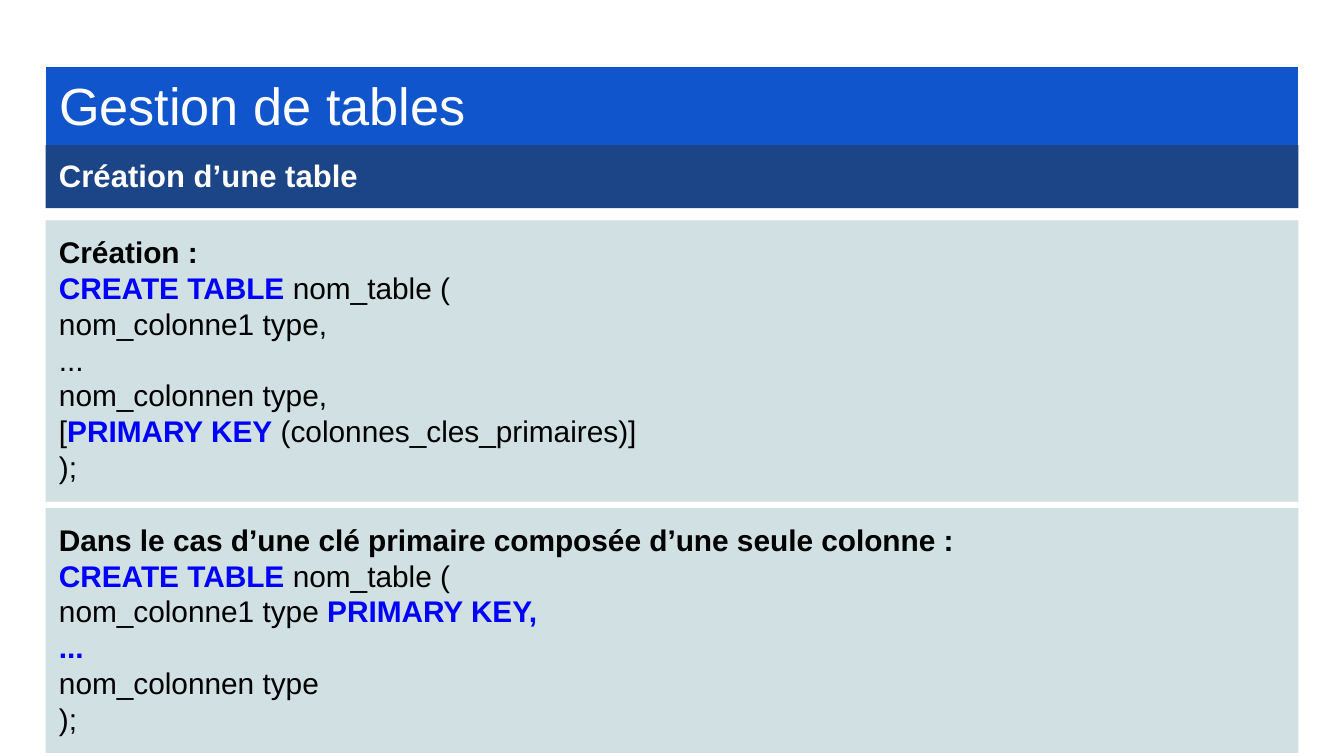
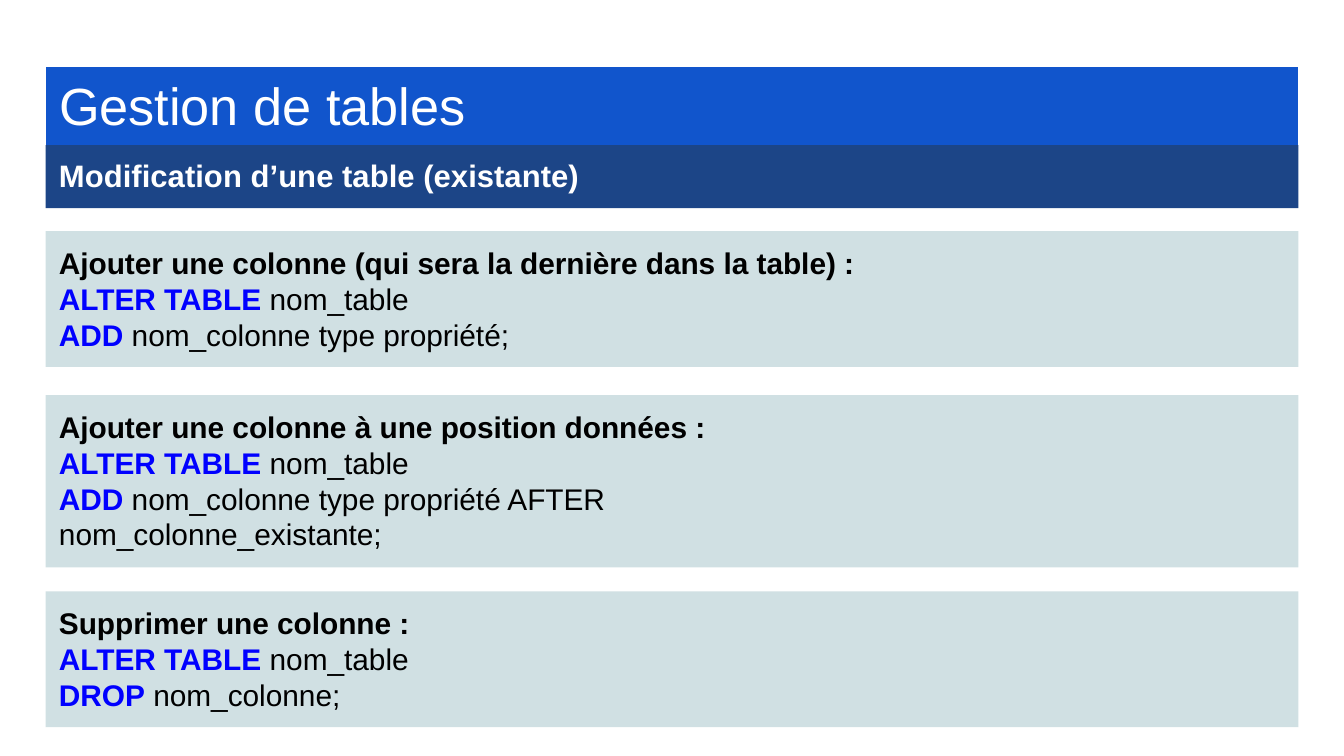
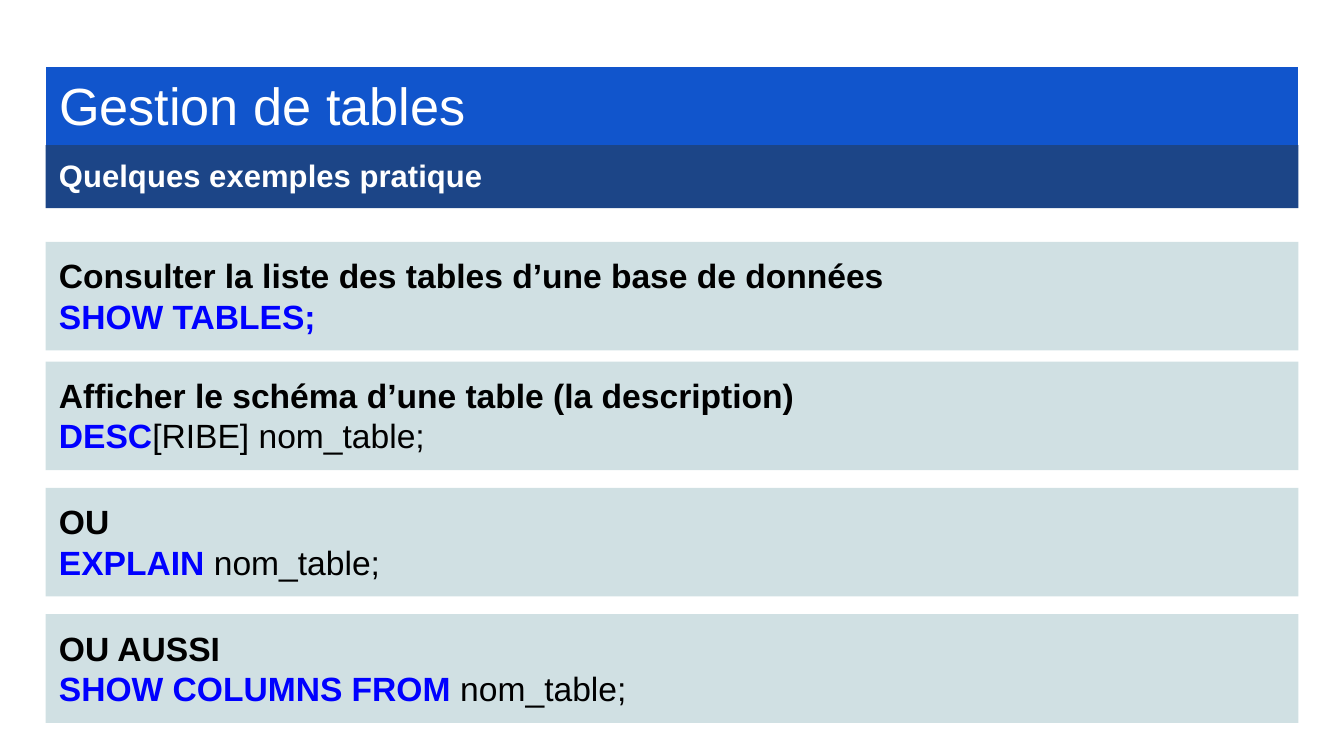
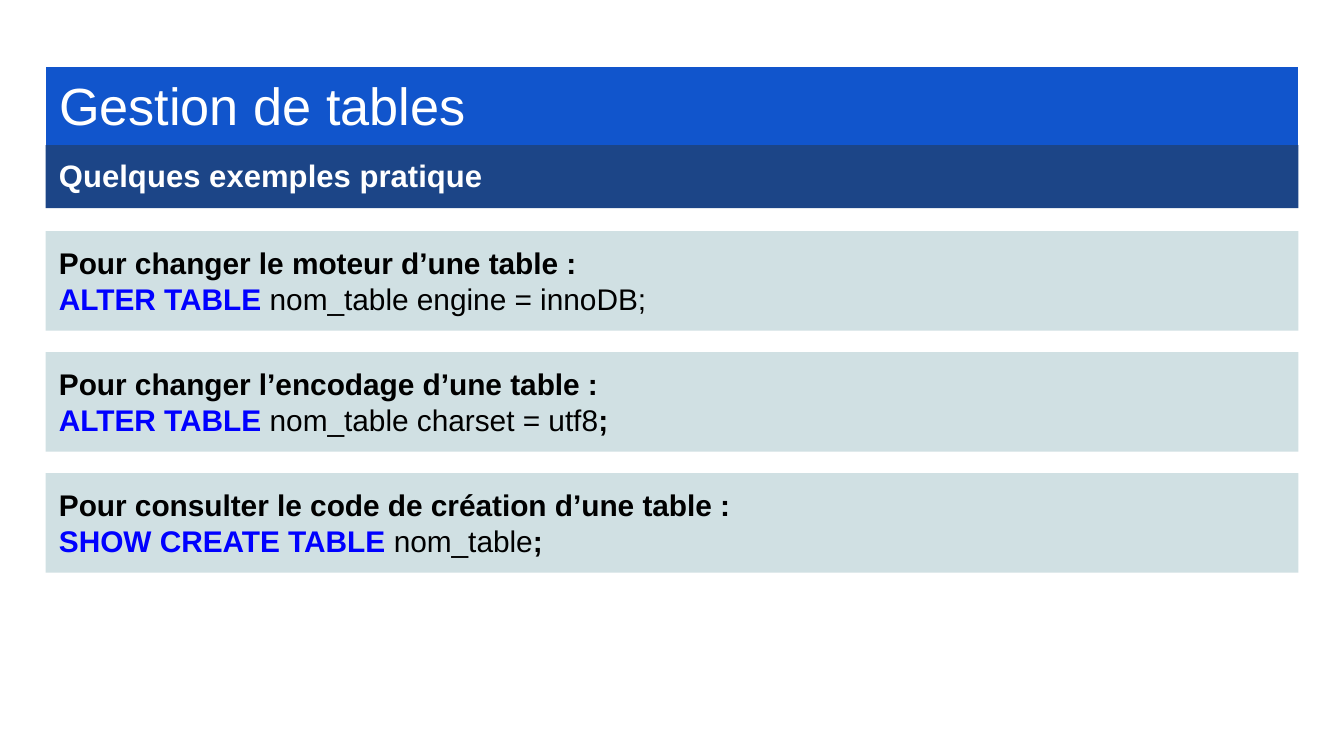
from pptx import Presentation
from pptx.dml.color import RGBColor as RGB
from pptx.enum.shapes import MSO_SHAPE as Shape
from pptx.enum.text import MSO_ANCHOR as Anchor, MSO_AUTO_SIZE as Fit, PP_ALIGN as Align
from pptx.util import Inches, Pt

WHITE = RGB(0xFF, 0xFF, 0xFF)
BLACK = RGB(0x00, 0x00, 0x00)
BLUE = RGB(0x11, 0x55, 0xCC)
NAVY = RGB(0x1C, 0x45, 0x87)
PALE = RGB(0xD0, 0xE0, 0xE3)
CODE = RGB(0x00, 0x00, 0xFF)
FONT = "Arial"
LEFT, WIDE, PAD = 0.34, 9.32, 0.1

HEAD = (BLACK, True)
WORD = (CODE, True)
TEXT = (BLACK, False)
MAKE = [("CREATE TABLE", WORD), (" nom_table (", TEXT)]
ALTER = [("ALTER TABLE", WORD), (" nom_table", TEXT)]
LAST = [(");", TEXT)]


def set_box(shape, box, color, anchor):
    """Place and fill a shape, and return its text frame."""
    shape.left, shape.top, shape.width, shape.height = map(Inches, box)
    shape.fill.solid()
    shape.fill.fore_color.rgb = color
    frame = shape.text_frame
    frame.word_wrap = True
    frame.auto_size = Fit.NONE
    frame.vertical_anchor = anchor
    frame.margin_left = frame.margin_right = Inches(PAD)
    frame.margin_top = frame.margin_bottom = Inches(PAD)
    return frame


def add_rect(slide, box, color, anchor):
    """Add a plain filled rectangle and return its text frame."""
    shape = slide.shapes.add_shape(Shape.RECTANGLE, *map(Inches, box))
    shape.shadow.inherit = False
    shape.line.fill.background()
    return set_box(shape, box, color, anchor)


def set_line(para, runs, size, space):
    """Write the styled runs of one paragraph."""
    para.alignment = Align.LEFT
    para.line_spacing = space
    para.space_before = Pt(0)
    for text, (color, bold) in runs:
        run = para.add_run()
        run.text = text
        font = run.font
        font.name, font.size, font.bold = FONT, Pt(size), bold
        font.color.rgb = color


def add_title(slide, box, text):
    """Turn the title placeholder into the blue band."""
    shape = slide.shapes.title
    frame = set_box(shape, box, BLUE, Anchor.MIDDLE)
    shape.line.color.rgb = WHITE
    shape.line.width = Pt(0.75)
    set_line(frame.paragraphs[0], [(text, (WHITE, False))], 28, 0.9)


def add_band(slide, box, text):
    """Add the dark subtitle band."""
    frame = add_rect(slide, box, NAVY, Anchor.MIDDLE)
    set_line(frame.paragraphs[0], [(text, (WHITE, True))], 16.65, 0.95)


def add_panel(slide, left, top, width, size, head, lines):
    """Add a pale panel, as tall as its heading and code lines need."""
    rows = [[(head, HEAD)], *lines]
    high = 2 * PAD + len(rows) * size * 0.0169
    frame = add_rect(slide, (left, top, width, high), PALE, Anchor.TOP)
    for num, runs in enumerate(rows):
        para = frame.add_paragraph() if num else frame.paragraphs[0]
        set_line(para, runs, size, Pt(size * 1.2))


def add_page(deck, name, size, tops, panels):
    """Add one slide: title, subtitle and stacked panels."""
    slide = deck.slides.add_slide(deck.slide_layouts[5])
    add_title(slide, (LEFT, 0.49, WIDE, 0.63), "Gestion de tables")
    add_band(slide, (LEFT, 1.08, WIDE, 0.47), name)
    for top, (head, lines) in zip(tops, panels):
        add_panel(slide, LEFT, top, WIDE, size, head, lines)


PAGES = [
    ("Création d’une table", 16, (1.64, 3.78), [
        ("Création :", [
            MAKE,
            [("nom_colonne1 type,", TEXT)],
            [("...", TEXT)],
            [("nom_colonnen type,", TEXT)],
            [("[", TEXT), ("PRIMARY KEY", WORD), (" (colonnes_cles_primaires)]", TEXT)],
            LAST]),
        ("Dans le cas d’une clé primaire composée d’une seule colonne :", [
            MAKE,
            [("nom_colonne1 type", TEXT), (" PRIMARY KEY,", WORD)],
            [("...", WORD)],
            [("nom_colonnen type", TEXT)],
            LAST]),
    ]),
    ("Modification d’une table (existante)", 16, (1.72, 2.94, 4.4), [
        ("Ajouter une colonne (qui sera la dernière dans la table) :", [
            ALTER,
            [("ADD", WORD), (" nom_colonne type propriété;", TEXT)]]),
        ("Ajouter une colonne à une position données :", [
            ALTER,
            [("ADD", WORD), (" nom_colonne type propriété AFTER", TEXT)],
            [("nom_colonne_existante;", TEXT)]]),
        ("Supprimer une colonne :", [
            ALTER,
            [("DROP", WORD), (" nom_colonne;", TEXT)]]),
    ]),
    ("Quelques exemples pratique", 18, (1.8, 2.69, 3.63, 4.57), [
        ("Consulter la liste des tables d’une base de données", [
            [("SHOW TABLES;", WORD)]]),
        ("Afficher le schéma d’une table (la description)", [
            [("DESC", WORD), ("[RIBE] nom_table;", TEXT)]]),
        ("OU", [
            [("EXPLAIN", WORD), (" nom_table;", TEXT)]]),
        ("OU AUSSI", [
            [("SHOW COLUMNS FROM", WORD), (" nom_table;", TEXT)]]),
    ]),
    ("Quelques exemples pratique", 16, [1.72 + 0.9 * num for num in range(3)], [
        ("Pour changer le moteur d’une table :", [
            [*ALTER, (" engine = innoDB;", TEXT)]]),
        ("Pour changer l’encodage d’une table :", [
            [*ALTER, (" charset = utf8", TEXT), (";", HEAD)]]),
        ("Pour consulter le code de création d’une table :", [
            [("SHOW CREATE TABLE", WORD), (" nom_table", TEXT), (";", HEAD)]]),
    ]),
]


def main():
    """Build the deck and save it."""
    deck = Presentation()
    deck.slide_width = Inches(10)
    deck.slide_height = deck.slide_width * 9 // 16
    for page in PAGES:
        add_page(deck, *page)
    deck.save("out.pptx")


main()
